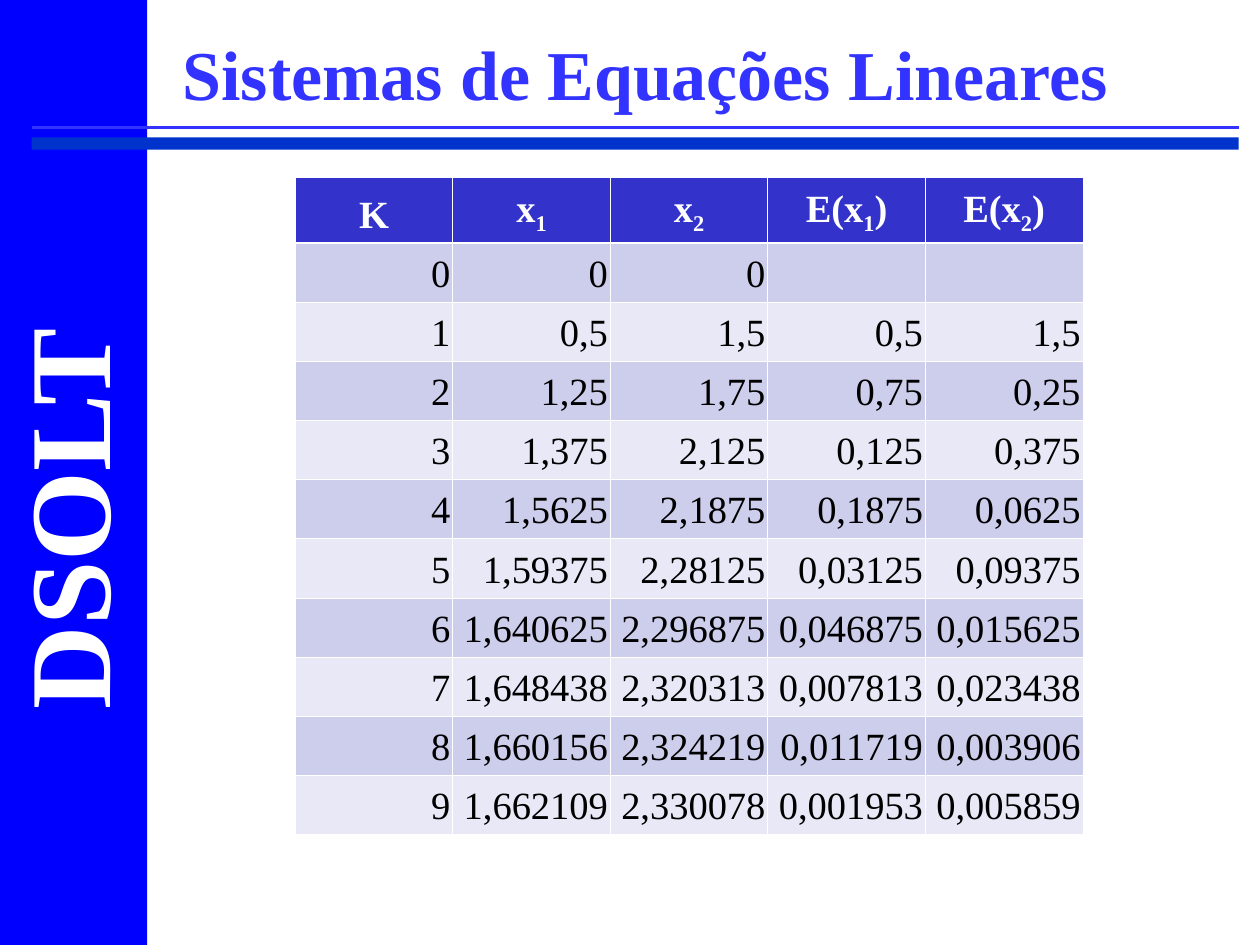
import pptx
import pptx.dml.color
import pptx.enum.shapes
import pptx.enum.text
import pptx.oxml
import pptx.oxml.ns
import pptx.util
from pptx.util import Cm

FONT = "Times New Roman"
COLORS = {
    "sidebar": "0000FF",
    "band": "0033CC",
    "title": "3333FF",
    "header": "3333CC",
    "odd_row": "CDCDEC",
    "even_row": "E8E8F6",
    "white": "FFFFFF",
    "black": "000000",
}
THIN, THICK = 0.45, 1.47

# Each header is a list of (text, is subscript) parts.
HEADERS = [
    [("K", False)],
    [("x", False), ("1", True)],
    [("x", False), ("2", True)],
    [("E(x", False), ("1", True), (")", False)],
    [("E(x", False), ("2", True), (")", False)],
]
ITERATIONS = [
    ["0", "0", "0", "", ""],
    ["1", "0,5", "1,5", "0,5", "1,5"],
    ["2", "1,25", "1,75", "0,75", "0,25"],
    ["3", "1,375", "2,125", "0,125", "0,375"],
    ["4", "1,5625", "2,1875", "0,1875", "0,0625"],
    ["5", "1,59375", "2,28125", "0,03125", "0,09375"],
    ["6", "1,640625", "2,296875", "0,046875", "0,015625"],
    ["7", "1,648438", "2,320313", "0,007813", "0,023438"],
    ["8", "1,660156", "2,324219", "0,011719", "0,003906"],
    ["9", "1,662109", "2,330078", "0,001953", "0,005859"],
]


def rgb(name):
    return pptx.dml.color.RGBColor.from_string(COLORS[name])


def add_run(paragraph, text, size, color, bold=True, subscript=False):
    run = paragraph.add_run()
    run.text = text
    run.font.name = FONT
    run.font.size = pptx.util.Pt(size)
    run.font.bold = bold
    run.font.color.rgb = rgb(color)
    if subscript:
        run.font._element.set("baseline", "-25000")


def add_block(slide, left, top, width, height, color):
    shape = slide.shapes.add_shape(
        pptx.enum.shapes.MSO_SHAPE.RECTANGLE, left, top, width, height)
    shape.shadow.inherit = False
    shape.fill.solid()
    shape.fill.fore_color.rgb = rgb(color)
    shape.line.fill.background()


def add_sidebar(slide, left, top, width, height):
    """Blue strip with the name reading upwards."""
    add_block(slide, left, top, width, height, "sidebar")
    label = slide.shapes.add_textbox(
        left - Cm(2.82), top + Cm(8.89), Cm(8.26), Cm(3.05))
    label.rotation = 270
    label.text_frame.word_wrap = False
    label.text_frame.auto_size = pptx.enum.text.MSO_AUTO_SIZE.SHAPE_TO_FIT_TEXT
    add_run(label.text_frame.paragraphs[0], "DSOLT", 66, "white")


def add_double_rule(slide, left, top, width):
    """Thin line with a thick band below it."""
    add_block(slide, left, top + Cm(0.2), width, Cm(0.25), "band")
    line = slide.shapes.add_connector(
        pptx.enum.shapes.MSO_CONNECTOR.STRAIGHT, left, top, left + width, top)
    line.line.color.rgb = rgb("title")
    line.line.width = pptx.util.Pt(2.25)
    line._element.spPr.append(pptx.oxml.parse_xml(
        f"<a:effectLst {pptx.oxml.ns.nsdecls('a')}/>"))


def add_title(slide, left, top, width, height):
    title = slide.shapes.add_textbox(left, top, width, height)
    title.text_frame.word_wrap = True
    title.text_frame.vertical_anchor = pptx.enum.text.MSO_ANCHOR.MIDDLE
    add_run(title.text_frame.paragraphs[0],
            "Sistemas de Equações Lineares", 40, "title")


def set_borders(cell, top, bottom):
    """White borders; thin at the sides, the given points above and below."""
    properties = cell._tc.get_or_add_tcPr()
    widths = {"lnL": THIN, "lnR": THIN, "lnT": top, "lnB": bottom}
    for index, (tag, points) in enumerate(widths.items()):
        properties.insert(index, pptx.oxml.parse_xml(
            f'<a:{tag} {pptx.oxml.ns.nsdecls("a")} w="{pptx.util.Pt(points)}">'
            f'<a:solidFill><a:srgbClr val="{COLORS["white"]}"/></a:solidFill>'
            f'</a:{tag}>'))


def fill_cell(cell, parts, row):
    is_header = row == 0
    align = pptx.enum.text.PP_ALIGN
    cell.margin_left = cell.margin_right = Cm(0.05)
    cell.margin_top = cell.margin_bottom = Cm(0.13)
    cell.vertical_anchor = pptx.enum.text.MSO_ANCHOR.BOTTOM
    cell.fill.solid()
    cell.fill.fore_color.rgb = rgb(
        "header" if is_header else "odd_row" if row % 2 else "even_row")
    set_borders(cell, THICK if row == 1 else THIN, THICK if is_header else THIN)
    paragraph = cell.text_frame.paragraphs[0]
    paragraph.alignment = align.CENTER if is_header else align.RIGHT
    for text, subscript in parts:
        if text:
            add_run(paragraph, text, 22, "white" if is_header else "black",
                    is_header, subscript)


def add_iteration_table(slide, left, top, width, header_height, row_height):
    rows = [HEADERS] + [[[(value, False)] for value in values]
                        for values in ITERATIONS]
    height = header_height + row_height * len(ITERATIONS)
    table = slide.shapes.add_table(
        len(rows), len(HEADERS), left, top, width, height).table
    table.horz_banding = False
    for row, cells in enumerate(rows):
        table.rows[row].height = row_height if row else header_height
        for column, parts in enumerate(cells):
            fill_cell(table.cell(row, column), parts, row)


def main():
    presentation = pptx.Presentation()
    presentation.slide_width = Cm(25.4)
    presentation.slide_height = Cm(19.05)
    slide = presentation.slides.add_slide(presentation.slide_layouts[6])
    add_sidebar(slide, Cm(0), Cm(0), Cm(2.97), presentation.slide_height)
    add_double_rule(slide, Cm(0.64), Cm(2.57), Cm(24.33))
    add_title(slide, Cm(3.43), Cm(0.2), Cm(21.56), Cm(2.54))
    add_iteration_table(slide, Cm(5.95), Cm(3.58), Cm(15.88), Cm(1.12), Cm(1.04))
    presentation.save("out.pptx")


if __name__ == "__main__":
    main()
